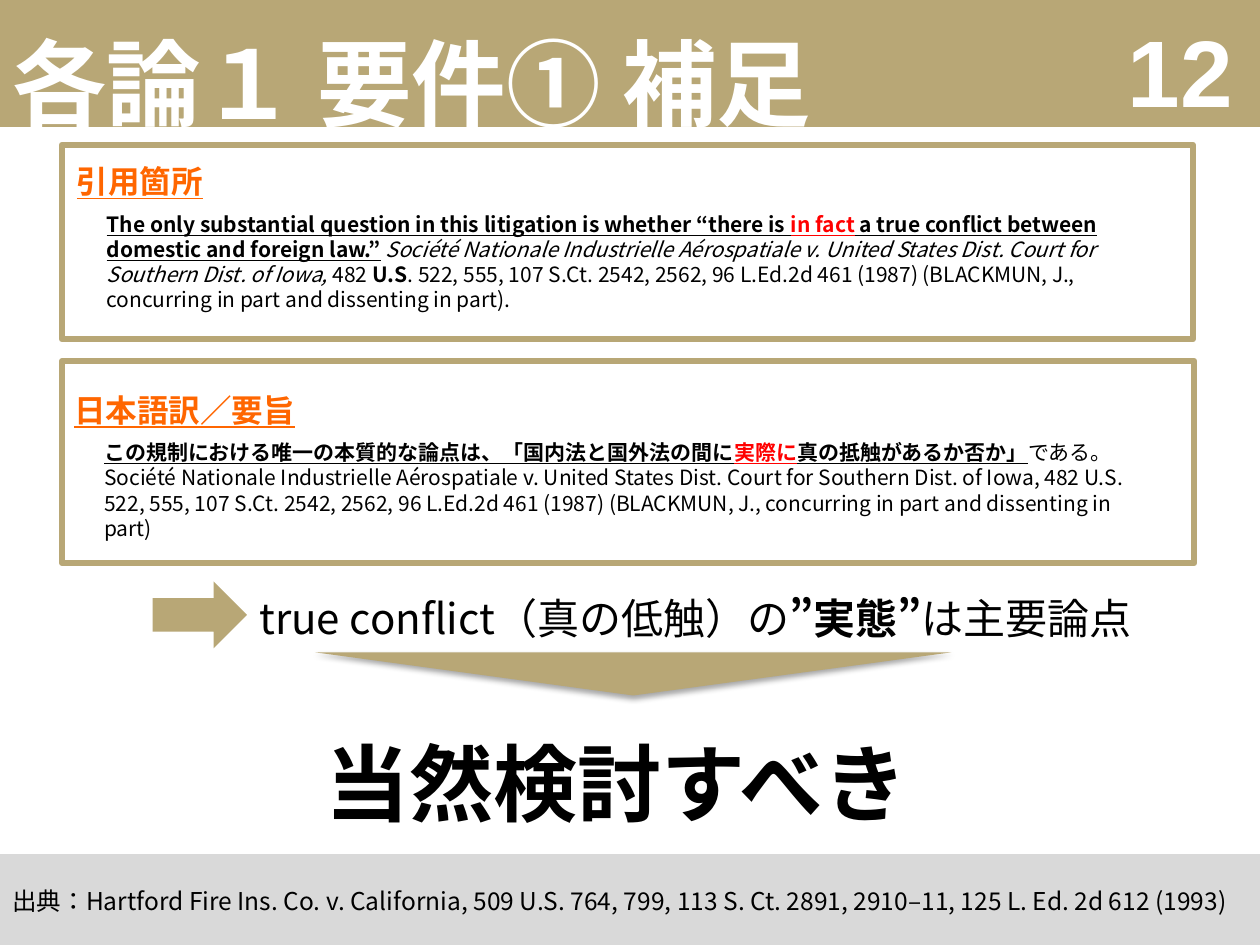
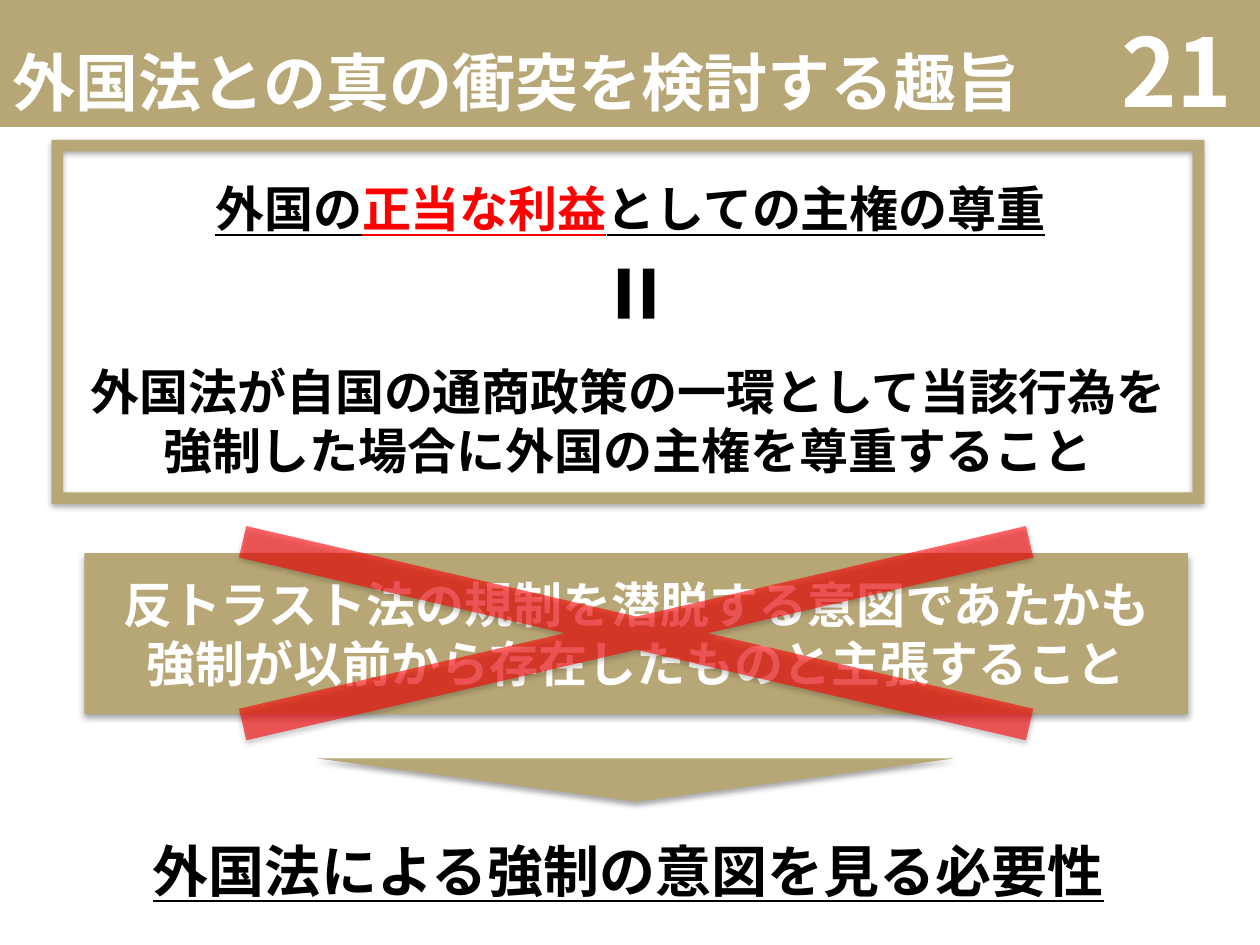
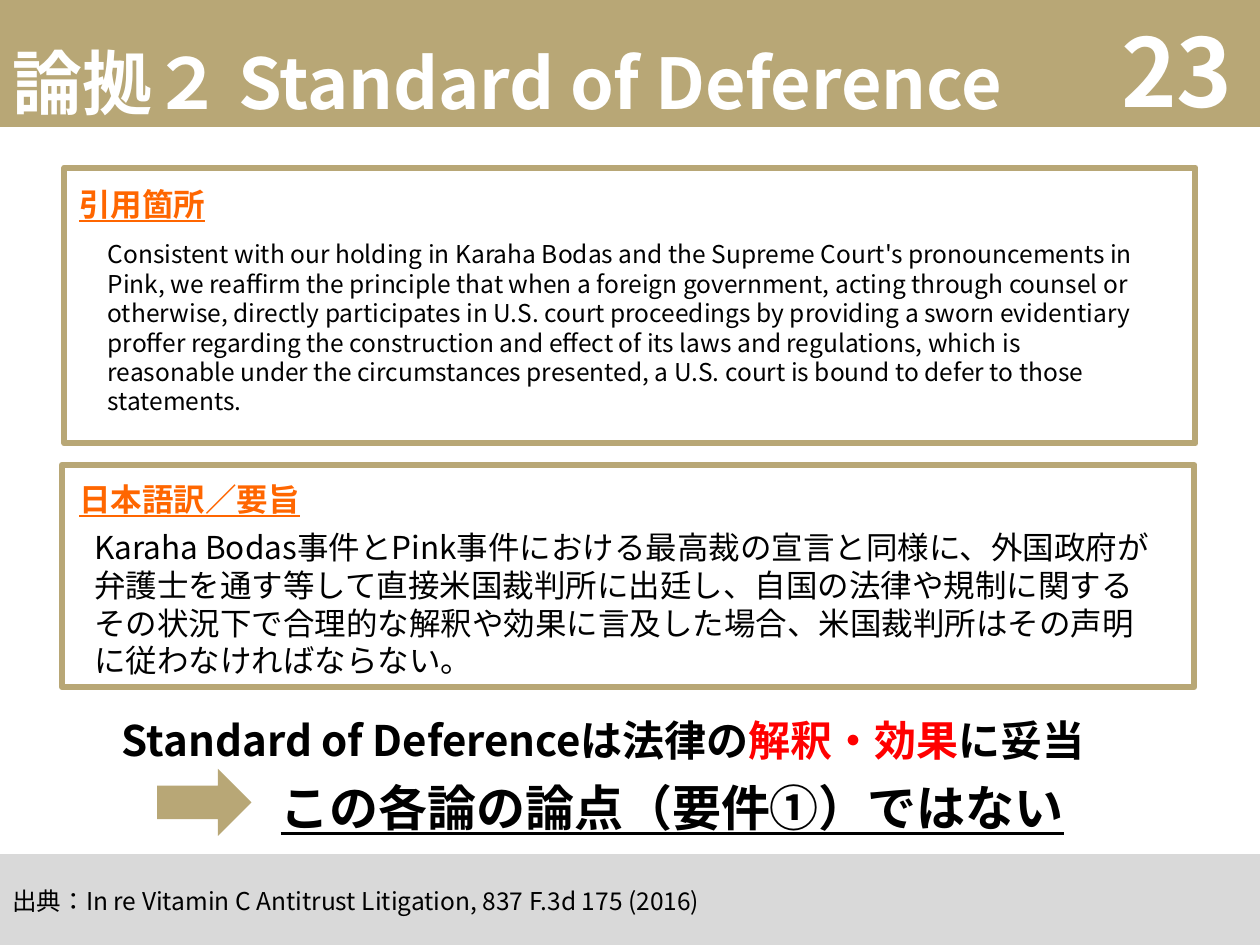
import pptx
import pptx.dml.color
import pptx.enum.lang
import pptx.enum.shapes
import pptx.enum.text
import pptx.oxml
import pptx.oxml.ns
import pptx.util
from lxml import etree

Cm = pptx.util.Cm
hue = pptx.dml.color.RGBColor.from_string
qn = pptx.oxml.ns.qn
Kind = pptx.enum.shapes.MSO_SHAPE
Align = pptx.enum.text.PP_ALIGN
Anchor = pptx.enum.text.MSO_ANCHOR
Fit = pptx.enum.text.MSO_AUTO_SIZE
Lang = pptx.enum.lang.MSO_LANGUAGE_ID

GOLD, GRAY, RED, ORANGE = "B8A776", "D9D9D9", "FF0000", "FF6600"
BLACK, WHITE = "000000", "FFFFFF"
SANS = "Noto Sans CJK JP"
SHADE = (
    f'<a:effectLst {pptx.oxml.ns.nsdecls("a")}>'
    '<a:outerShdw blurRad="40000" dist="23000" dir="5400000" rotWithShape="0">'
    '<a:srgbClr val="000000"><a:alpha val="35000"/></a:srgbClr>'
    "</a:outerShdw></a:effectLst>"
)


def draw(page, kind, at, fill=None, line=None, shade=False, turn=0, adj=()):
    """Place a preset shape, or a text box when kind is None; at is in cm."""
    place = [Cm(n) for n in at]
    if kind is None:
        return page.shapes.add_textbox(*place)
    shape = page.shapes.add_shape(kind, *place)
    shape.rotation = turn
    for i, part in enumerate(adj):
        shape.adjustments[i] = part
    if fill:
        shape.fill.solid()
        shape.fill.fore_color.rgb = hue(fill)
    else:
        shape.fill.background()
    if line:
        shape.line.color.rgb = hue(line)
        shape.line.width = pptx.util.Pt(3.5)
    else:
        shape.line.fill.background()
    shape.shadow.inherit = False
    if shade:
        props = shape._element.spPr
        props.remove(props.find(qn("a:effectLst")))
        props.append(pptx.oxml.parse_xml(SHADE))
    return shape


def write(shape, text, size=18, color=BLACK, font=SANS, bold=False, line=False,
          align=Align.LEFT, mid=False, wrap=True):
    """Fill a shape with a string or (string, changes) runs; a newline starts a paragraph."""
    frame = shape.text_frame
    frame.word_wrap = wrap
    frame.auto_size = Fit.NONE if mid else Fit.SHAPE_TO_FIT_TEXT
    frame.vertical_anchor = Anchor.MIDDLE if mid else Anchor.TOP
    base = dict(size=size, color=color, bold=bold, line=line, slant=False)
    para = frame.paragraphs[0]
    para.alignment = align
    for words, change in [(text, {})] if isinstance(text, str) else text:
        look = base | change
        for i, piece in enumerate(words.split("\n")):
            if i:
                para = frame.add_paragraph()
                para.alignment = align
            if not piece:
                continue
            run = para.add_run()
            run.text = piece
            run.font.language_id = Lang.JAPANESE
            run.font.name = font
            run.font.size = pptx.util.Pt(look["size"])
            run.font.bold = look["bold"]
            run.font.italic = look["slant"]
            run.font.underline = look["line"]
            run.font.color.rgb = hue(look["color"])
            latin = run.font._element.find(qn("a:latin"))
            east = etree.Element(qn("a:ea"), typeface=SANS)
            latin.addnext(east)


deck = pptx.Presentation()
deck.slide_width, deck.slide_height = Cm(25.4), Cm(19.05)

# Title band, page number and source footer
heads = [
    ("各論１ 要件① 補足", 54, "Karla", "12", "Arial",
     "Hartford Fire Ins. Co. v. California, 509 U.S. 764, 799, 113 S. Ct. 2891, "
     "2910–11, 125 L. Ed. 2d 612 (1993)"),
    ("外国法との真の衝突を検討する趣旨", 36, "Karla", "21", SANS, None),
    ("論拠２ Standard of Deference", 40, SANS, "23", SANS,
     "In re Vitamin C Antitrust Litigation, 837 F.3d 175 (2016)"),
]
pages = []
for title, size, font, count, face, source in heads:
    page = deck.slides.add_slide(deck.slide_layouts[6])
    pages.append(page)
    draw(page, Kind.RECTANGLE, (0, 0, 25.4, 2.56), fill=GOLD)
    write(draw(page, None, (0, 0.05, 28.1, 3.18)), title, size=size,
          color=WHITE, font=font, bold=True, mid=True)
    write(draw(page, None, (19.18, 0.9, 5.92, 1.02)), count, size=54,
          color=WHITE, font=face, bold=True, align=Align.RIGHT, mid=True)
    if source:
        foot = draw(page, Kind.RECTANGLE, (0, 17.22, 25.4, 1.88), fill=GRAY)
        write(foot, "出典：" + source, size=14, mid=True)
facts, aim, rule = pages

# Framed quotes and their translations
quote, gist = "引用箇所", "日本語訳／要旨"
for page, label, box, spot in [
    (facts, quote, (1.25, 2.92, 22.8, 3.92), (1.3, 3.15)),
    (facts, gist, (1.25, 7.28, 22.83, 4.07), (1.25, 7.75)),
    (rule, quote, (1.3, 3.38, 22.8, 5.56), (1.35, 3.6)),
    (rule, gist, (1.25, 9.37, 22.83, 4.48), (1.35, 9.55)),
]:
    draw(page, Kind.RECTANGLE, box, line=GOLD)
    write(draw(page, None, (*spot, 22.05, 1.02)), label, color=ORANGE,
          bold=True, line=True)

# Right arrows and downward wedges
for page, left, top in [(facts, 3.08, 11.72), (rule, 3.17, 15.5)]:
    draw(page, Kind.RIGHT_ARROW, (left, top, 1.9, 1.35), fill=GOLD)
for page, left, top in [(facts, 6.35, 13.15), (aim, 6.4, 15.29)]:
    draw(page, Kind.ISOSCELES_TRIANGLE, (left, top, 12.83, 0.87), fill=GOLD,
         shade=True, turn=180)

# Slide 12: the question of true conflict
key = dict(bold=True, line=True)
hot = dict(color=RED)
write(draw(facts, None, (1.9, 4.13, 21.46, 2.31)), [
    ("The only substantial question in this litigation is whether “there is ", key),
    ("in fact", key | hot),
    (" a true conflict between domestic and foreign law.”", key),
    (" ", {}),
    ("Société Nationale Industrielle Aérospatiale v. United States Dist. Court "
     "for Southern Dist. of Iowa,", dict(slant=True)),
    (" 482 ", {}),
    ("U.S", dict(bold=True)),
    (". 522, 555, 107 S.Ct. 2542, 2562, 96 L.Ed.2d 461 (1987) (BLACKMUN, J., "
     "concurring in part and dissenting in part).", {}),
], size=12)
write(draw(facts, None, (1.85, 8.74, 21.46, 2.31)), [
    ("この規制における唯一の本質的な論点は、「国内法と国外法の間に", key),
    ("実際に", key | hot),
    ("真の抵触があるか否か」", key),
    ("である。\nSociété Nationale Industrielle Aérospatiale v. United States Dist. "
     "Court for Southern Dist. of Iowa, 482 U.S. 522, 555, 107 S.Ct. 2542, 2562, "
     "96 L.Ed.2d 461 (1987) (BLACKMUN, J., concurring in part and dissenting in part)", {}),
], size=12)
write(draw(facts, None, (4.98, 11.81, 19.1, 1.27)), [
    ("true conflict（真の低触）の", {}),
    ("”実態”", dict(bold=True)),
    ("は主要論点", {}),
], size=24)
write(draw(facts, None, (6.32, 14.63, 12.47, 2.31)), "当然検討すべき",
      size=48, bold=True, wrap=False)

# Slide 21: respect for sovereignty
write(draw(aim, None, (4.09, 3.48, 17.48, 1.45)), [
    ("外国の", {}), ("正当な利益", hot), ("としての主権の尊重", {}),
], size=28, bold=True, line=True, wrap=False)
write(draw(aim, None, (1.04, 7.16, 23.24, 2.64)),
      "外国法が自国の通商政策の一環として当該行為を\n強制した場合に外国の主権を尊重すること",
      size=28, bold=True, align=Align.CENTER)
draw(aim, Kind.MATH_EQUAL, (12.14, 4.8, 1.37, 2.24), fill=BLACK, turn=90,
     adj=(0.105, 0.118))
claim = draw(aim, Kind.RECTANGLE, (1.7, 11.15, 22.25, 3.25), fill=GOLD, shade=True)
write(claim, "反トラスト法の規制を潜脱する意図であたかも\n強制が以前から存在したものと主張すること",
      size=28, color=WHITE, bold=True, align=Align.CENTER, mid=True)
cross = draw(aim, Kind.MATH_MULTIPLY, (-2.44, 9.22, 30.53, 7.09), fill=RED,
             shade=True, adj=(0.092,))
tint = cross._element.spPr.find(qn("a:solidFill"))[0]
etree.SubElement(tint, qn("a:alpha"), val="59000")
draw(aim, Kind.FRAME, (1.04, 2.82, 23.24, 7.34), fill=GOLD, shade=True, adj=(0.032,))
write(draw(aim, None, (1.12, 16.74, 23.11, 1.63)), "外国法による強制の意図を見る必要性",
      size=32, bold=True, line=True, align=Align.CENTER)

# Slide 23: standard of deference
write(draw(rule, None, (1.92, 4.7, 21.49, 3.84)),
      "Consistent with our holding in Karaha Bodas and the Supreme Court's "
      "pronouncements in Pink, we reaffirm the principle that when a foreign "
      "government, acting through counsel or otherwise, directly participates in "
      "U.S. court proceedings by providing a sworn evidentiary proffer regarding "
      "the construction and effect of its laws and regulations, which is reasonable "
      "under the circumstances presented, a U.S. court is bound to defer to those "
      "statements.", size=14)
write(draw(rule, None, (1.65, 10.52, 22.02, 3.33)),
      "Karaha Bodas事件とPink事件における最高裁の宣言と同様に、外国政府が弁護士を通す等して"
      "直接米国裁判所に出廷し、自国の法律や規制に関するその状況下で合理的な解釈や効果に"
      "言及した場合、米国裁判所はその声明に従わなければならない。")
write(draw(rule, None, (2.21, 14.27, 20.96, 1.27)), [
    ("Standard of Deferenceは法律の", {}), ("解釈・効果", hot), ("に妥当", {}),
], size=24, bold=True, wrap=False)
write(draw(rule, None, (5.41, 15.54, 16.46, 1.45)), "この各論の論点（要件①）ではない",
      size=28, bold=True, line=True, wrap=False)

deck.save("out.pptx")
